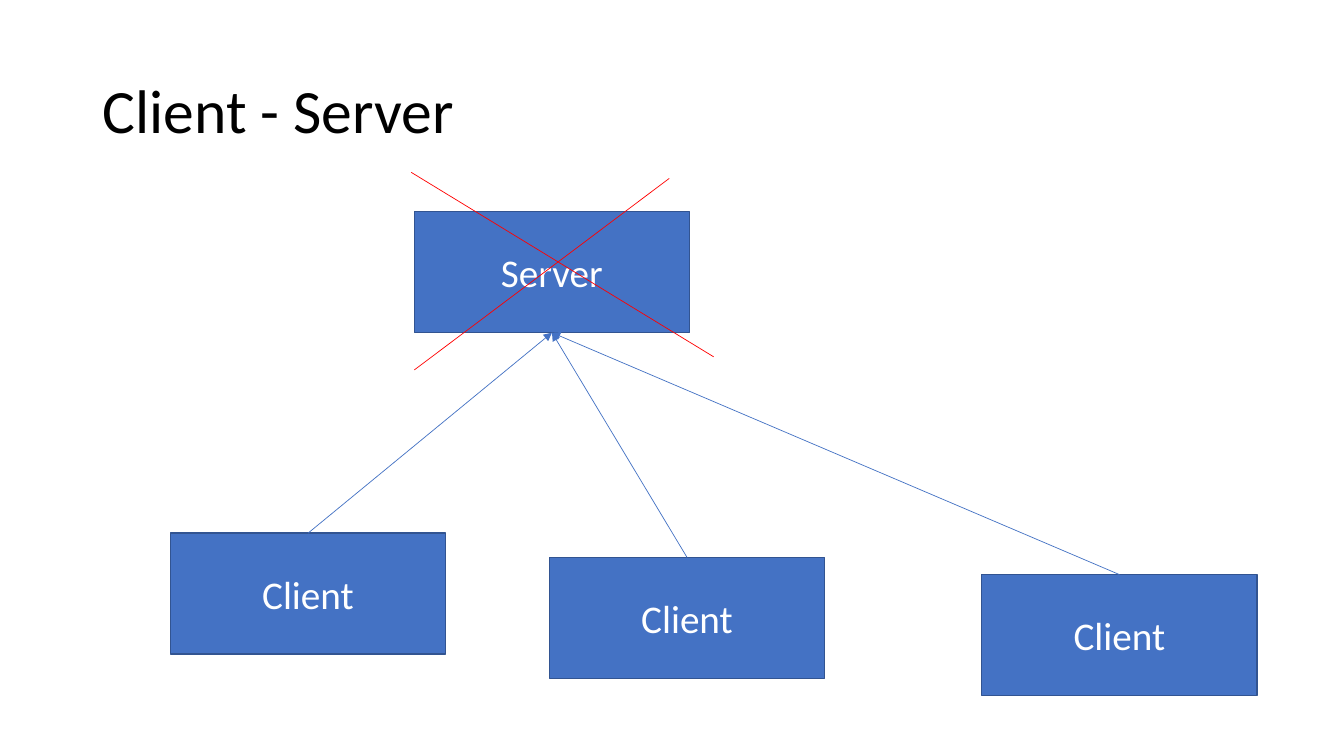
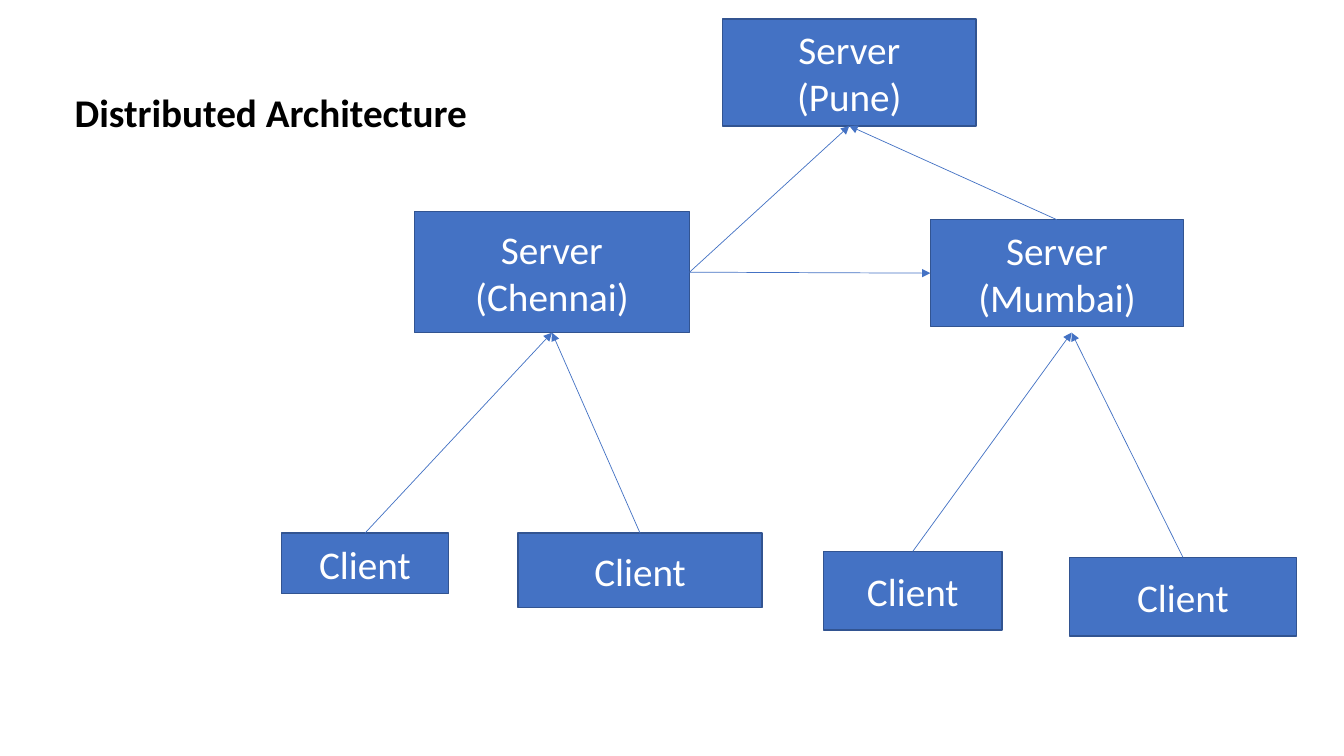
from dataclasses import dataclass
from lxml.etree import SubElement as Sub
from pptx import Presentation
from pptx.dml.color import RGBColor as Rgb
from pptx.enum.shapes import MSO_CONNECTOR as Wire, MSO_SHAPE as Form
from pptx.enum.text import MSO_ANCHOR as Anchor, MSO_AUTO_SIZE as Fit, PP_ALIGN as Align
from pptx.oxml.ns import qn
from pptx.util import Pt


@dataclass(frozen=True)
class Theme:
    font: str = "Calibri"
    ink: Rgb = Rgb(0, 0, 0)
    pale: Rgb = Rgb(255, 255, 255)
    blue: Rgb = Rgb(0x44, 0x72, 0xC4)
    edge: Rgb = Rgb(0x32, 0x54, 0x91)
    red: Rgb = Rgb(255, 0, 0)
    big: Pt = Pt(44)
    body: Pt = Pt(28)
    rim: Pt = Pt(1)
    thin: Pt = Pt(0.5)


@dataclass(frozen=True)
class Box:
    left: int
    top: int
    width: int
    height: int

    def spot(self, x, y):
        """Point at a percentage of the box."""
        return (self.left + round(self.width * x / 100),
                self.top + round(self.height * y / 100))

    def inner(self, x, y, w, h):
        """Inner box, all lengths in percent."""
        return Box(*self.spot(x, y), round(self.width * w / 100),
                   round(self.height * h / 100))

    def edges(self):
        return self.left, self.top, self.width, self.height


look = Theme()
TOP, LEFT, BOTTOM, RIGHT = range(4)  # connection sites of a rectangle
HUB = (30.83, 28)                    # main server, both slides
NODE = (20.48, 16)                   # large box
SITE = (18.83, 14.13)                # branch server
FLOOR = 70.53                        # first row of clients
LOW = 73.73                          # lower row of clients


def assign(item, values):
    for name, value in values.items():
        setattr(item, name, value)


def write(shape, text, color, align, frame, font, space=1.0):
    shape.text_frame.text = text
    assign(shape.text_frame, {"vertical_anchor": Anchor.MIDDLE, **frame})
    for para in shape.text_frame.paragraphs:
        assign(para, {"alignment": align, "line_spacing": space})
        for run in para.runs:
            assign(run.font, {"name": look.font, **font})
            run.font.color.rgb = color


def title(slide, area, text, size, bold=False, space=1.0, wrap=True):
    head = slide.shapes.title
    assign(head, dict(zip(("left", "top", "width", "height"), area.edges())))
    write(head, text, look.ink, Align.LEFT,
          {"auto_size": Fit.NONE, "word_wrap": wrap},
          {"size": size, "bold": bold}, space)


def node(slide, area, text):
    shape = slide.shapes.add_shape(Form.RECTANGLE, *area.edges())
    shape.shadow.inherit = False
    shape.fill.solid()
    shape.fill.fore_color.rgb = look.blue
    shape.line.color.rgb = look.edge
    shape.line.width = look.rim
    write(shape, text, look.pale, Align.CENTER,
          {"word_wrap": True}, {"size": look.body})
    return shape


def line(slide, start, end, color, arrow=False):
    link = slide.shapes.add_connector(Wire.STRAIGHT, *start, *end)
    link.line.color.rgb = color
    link.line.width = look.thin
    props = link.element.spPr
    if arrow:
        Sub(props.find(qn("a:ln")), qn("a:tailEnd"), type="triangle")
    Sub(props, qn("a:effectLst"))
    return link


def join(slide, source, side, target, port=BOTTOM):
    """Arrow glued to source, and to target unless that is a bare point."""
    loose = isinstance(target, tuple)
    end = target if loose else (target.left, target.top)
    link = line(slide, (source.left, source.top), end, look.blue, arrow=True)
    link.begin_connect(source, side)
    if not loose:
        link.end_connect(target, port)


def single(slide, area):
    # Title and boxes
    title(slide, area.inner(6.9, 5.33, 86.25, 19.33), "Client - Server",
          look.big, space=0.9)
    server = node(slide, area.inner(*HUB, *NODE), "Server")
    for x, y in ((12.68, FLOOR), (73.05, 76), (40.88, LOW)):
        client = node(slide, area.inner(x, y, *NODE), "Client")
        join(slide, client, TOP, server)

    # Cross over the server
    for start, end in (((49.8, 23.6), (30.83, 48.93)),
                       ((53.1, 47.2), (30.6, 22.8))):
        line(slide, area.spot(*start), area.spot(*end), look.red)


def spread(slide, area):
    title(slide, area.inner(4.8, 10.93, 30.98, 7.6), "Distributed Architecture",
          look.body, bold=True, wrap=False)

    # Servers
    chennai, mumbai, pune = (
        node(slide, area.inner(*place, *size), f"Server\n({city})")
        for city, place, size in (("Chennai", HUB, NODE),
                                  ("Mumbai", (69.23, 29.07), SITE),
                                  ("Pune", (53.78, 2.53), SITE)))
    join(slide, chennai, RIGHT, mumbai, LEFT)
    join(slide, mumbai, TOP, pune)
    join(slide, chennai, RIGHT, pune)

    # Clients, each with the server or point it reports to
    meet = area.spot(79.73, 44)
    for place, goal in (((20.93, FLOOR, 12.45, 8), chennai),
                        ((38.55, FLOOR, 18.15, 9.87), chennai),
                        ((61.28, 72.93, 13.28, 10.4), meet),
                        ((79.58, LOW, 16.88, 10.4), meet)):
        join(slide, node(slide, area.inner(*place), "Client"), TOP, goal)


deck = Presentation()
assign(deck, {"slide_width": Pt(960), "slide_height": Pt(540)})
page = Box(0, 0, deck.slide_width, deck.slide_height)
for build in (single, spread):
    build(deck.slides.add_slide(deck.slide_layouts[5]), page)
deck.save("out.pptx")
